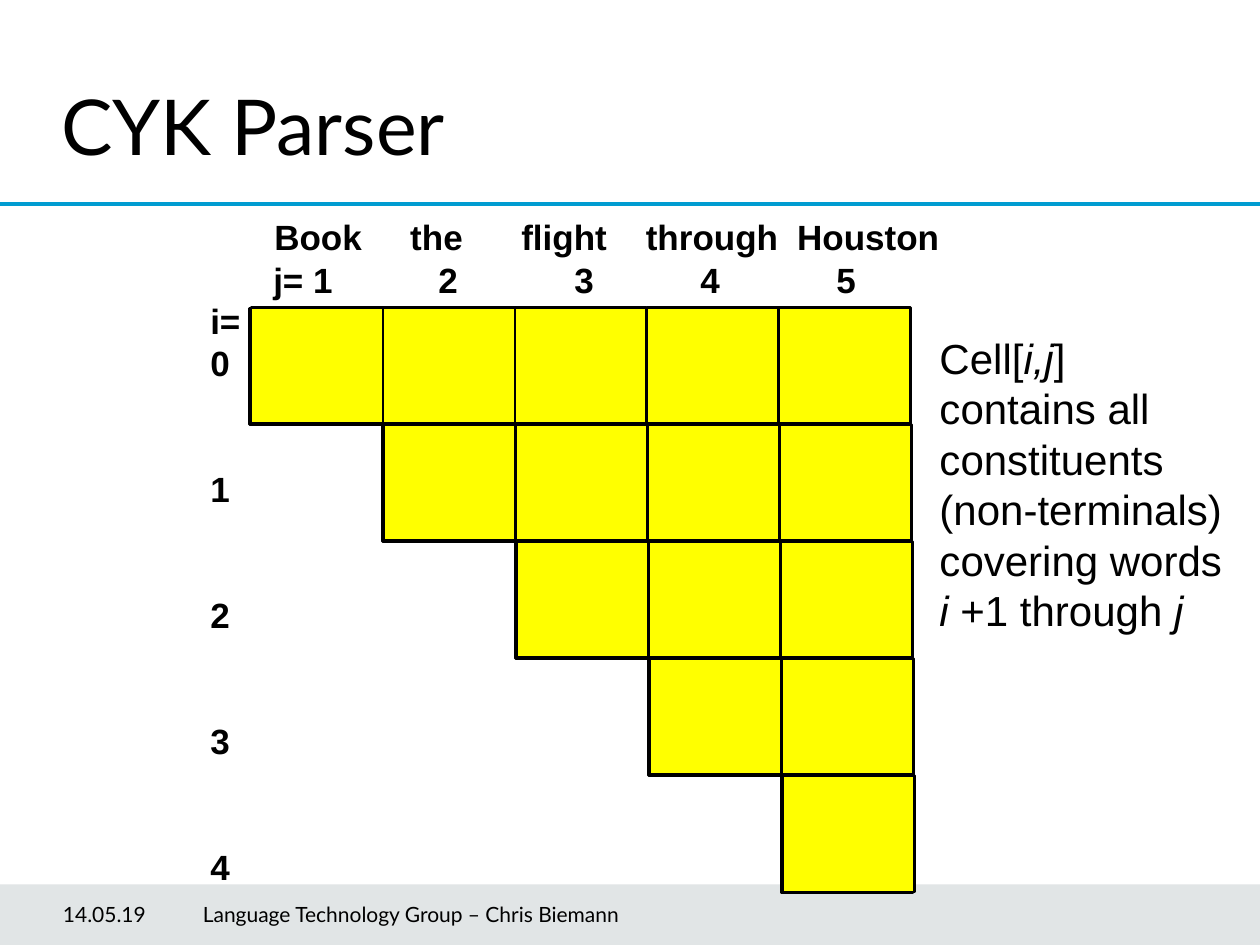
from dataclasses import dataclass

from lxml import etree
from pptx import Presentation
from pptx.dml.color import RGBColor
from pptx.enum.shapes import MSO_CONNECTOR, MSO_SHAPE
from pptx.enum.text import MSO_ANCHOR
from pptx.oxml.ns import qn
from pptx.util import Cm, Pt

RECTANGLE = MSO_SHAPE.RECTANGLE
STRAIGHT = MSO_CONNECTOR.STRAIGHT
MIDDLE = MSO_ANCHOR.MIDDLE
TOP = MSO_ANCHOR.TOP


@dataclass(frozen=True)
class Theme:
    ink: RGBColor = RGBColor(0, 0, 0)
    rule: RGBColor = RGBColor(0x00, 0x9C, 0xD1)
    band: RGBColor = RGBColor(0x3B, 0x51, 0x5B)
    paper: RGBColor = RGBColor(255, 255, 255)
    cell: RGBColor = RGBColor(255, 255, 0)
    heading_font: str = "Lato"
    body_font: str = "Arial"
    title_size: int = 44
    note_size: int = 24
    label_size: int = 20
    footer_size: int = 12
    leading: float = 1.2


THEME = Theme()

TITLE = "CYK Parser"
WORDS = ["Book", "the", "flight", "through", "Houston"]
WORD_STOPS = [2.74, 4.98, 7.49, 10.54]
COLUMN_LABELS = ["j= 1", "2", "3", "4", "5"]
COLUMN_STOPS = [3.33, 6.07, 8.61, 11.35]
ROW_LABELS = ["i=", "0", "1", "2", "3", "4"]
NOTE = [
    [("Cell[", False), ("i,j", True), ("]", False)],
    [("contains all", False)],
    [("constituents", False)],
    [("(non-terminals)", False)],
    [("covering words", False)],
    [("i", True), (" +1 through ", False), ("j", True)],
]
FOOTERS = [
    ("14.05.19", 1.27, 2.51),
    ("Language Technology Group – Chris Biemann", 4.09, 12.47),
]

CELL_WIDTH, CELL_HEIGHT = 2.66, 2.34
ROW_PITCH, ROW_SHIFT = 2.36, 0.02
CELL_LAYERS = [(THEME.paper, 5.03, 6.22), (THEME.cell, 5.06, 6.2)]

presentation = Presentation()
presentation.slide_width, presentation.slide_height = Cm(25.4), Cm(19.05)
slide = presentation.slides.add_slide(presentation.slide_layouts[6])


def add_box(left, top, width, height, color):
    box = slide.shapes.add_shape(RECTANGLE, Cm(left), Cm(top), Cm(width), Cm(height))
    box.shadow.inherit = False
    box.fill.solid()
    box.fill.fore_color.rgb = color
    return box


def add_text(lines, left, top, width, height, size, font, bold=False,
             anchor=TOP, inset=0.25, leading=None, wrap=False):
    frame = slide.shapes.add_textbox(Cm(left), Cm(top), Cm(width), Cm(height)).text_frame
    frame.word_wrap = wrap
    frame.vertical_anchor = anchor
    frame.margin_left = Cm(inset)
    for index, line in enumerate(lines):
        paragraph = frame.paragraphs[0] if index == 0 else frame.add_paragraph()
        paragraph.font.size = Pt(size)
        paragraph.font.name = font
        paragraph.font.bold = bold
        paragraph.font.color.rgb = THEME.ink
        if leading:
            paragraph.line_spacing = Pt(size * leading)
        for text, italic in line:
            run = paragraph.add_run()
            run.text = text
            if italic:
                run.font.italic = True
    return frame.paragraphs


def add_labels(lines, left, top, width, height):
    return add_text([[(line, False)] for line in lines], left, top, width, height,
                    THEME.label_size, THEME.body_font, bold=True, leading=THEME.leading)


def add_tabbed_labels(labels, stops, left, top, width):
    paragraph = add_labels(["\t".join(labels)], left, top, width, 1.12)[0]
    properties = paragraph._p.get_or_add_pPr()
    tabs = etree.SubElement(properties, qn("a:tabLst"))
    properties.remove(tabs)
    properties.find(qn("a:defRPr")).addprevious(tabs)
    for stop in stops:
        etree.SubElement(tabs, qn("a:tab"), pos=str(Cm(stop)), algn="l")


footer_band = add_box(0, 17.83, 25.4, 1.22, THEME.band)
footer_band.line.fill.background()
band_color = footer_band._element.spPr.find(qn("a:solidFill"))[0]
etree.SubElement(band_color, qn("a:alpha"), val="15000")

title_rule = slide.shapes.add_connector(STRAIGHT, 0, Cm(4.11), Cm(25.4), Cm(4.11))
title_rule.line.color.rgb = THEME.rule
title_rule.line.width = Pt(2)
etree.SubElement(title_rule._element.spPr, qn("a:effectLst"))

add_text([[(TITLE, False)]], 0.99, 1.35, 19.1, 2.34,
         THEME.title_size, THEME.heading_font, anchor=MIDDLE, wrap=True)

for color, grid_left, grid_top in CELL_LAYERS:
    for row in range(len(WORDS)):
        for column in range(row, len(WORDS)):
            cell = add_box(grid_left + column * CELL_WIDTH + row * ROW_SHIFT,
                           grid_top + row * ROW_PITCH, CELL_WIDTH, CELL_HEIGHT, color)
            cell.line.color.rgb = THEME.ink
            cell.line.width = Pt(1.5)

add_tabbed_labels(WORDS, WORD_STOPS, 5.28, 4.22, 14.25)
row_paragraphs = add_labels(ROW_LABELS, 3.99, 5.92, 1.12, 12.22)
for paragraph in row_paragraphs[2:]:
    paragraph.space_before = Pt(2 * THEME.label_size * THEME.leading)
add_tabbed_labels(COLUMN_LABELS, COLUMN_STOPS, 5.26, 5.08, 12.45)

add_text(NOTE, 18.69, 6.58, 6.3, 6.4, THEME.note_size, THEME.body_font,
         leading=THEME.leading)

for text, left, width in FOOTERS:
    add_text([[(text, False)]], left, 17.91, width, 1.02, THEME.footer_size,
             THEME.heading_font, anchor=MIDDLE, inset=0, wrap=True)

presentation.save("out.pptx")
